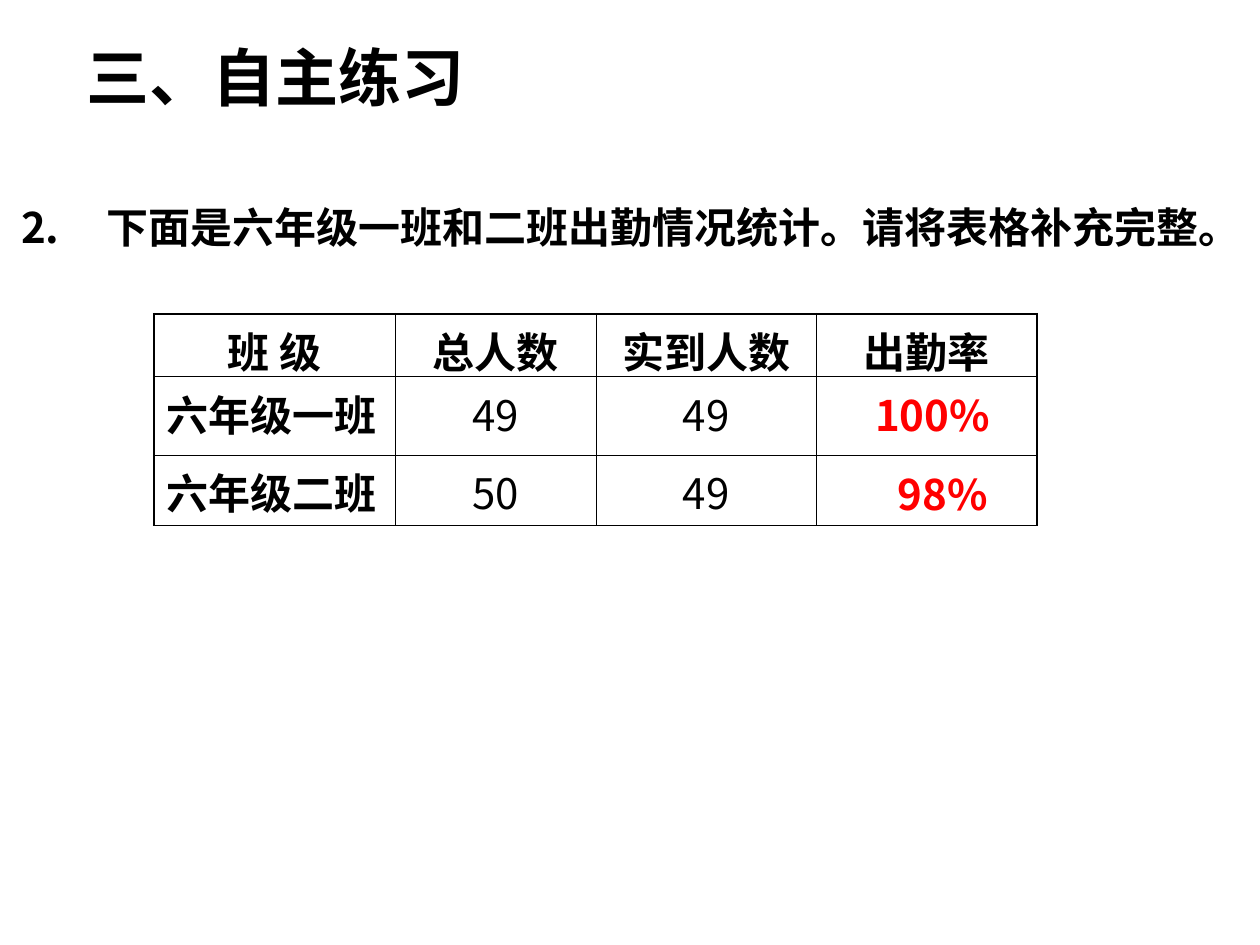
from lxml import etree
from pptx import Presentation
from pptx import util as u
from pptx.dml import color
from pptx.enum import text
from pptx.oxml import ns

COLORS = {"ink": "000000", "answer": "FF0000"}
FONT = "Noto Sans CJK SC"
COLUMNS = [1.92, 1.59, 1.75, 1.75]
ROWS = [0.5, 0.62, 0.56]
ATTENDANCE = [
    ["班 级", "总人数", "实到人数", "出勤率"],
    ["六年级一班", "49", "49", ""],
    ["六年级二班", "50", "49", ""],
]
THIN, THICK = 0.45, 1.08


def add_span(para, words, size=24, bold=True, ink="ink", font=FONT):
    """Add one styled run to a paragraph."""
    span = para.add_run()
    span.text = words
    span.font.size = u.Pt(size)
    span.font.bold = bold
    span.font.name = font
    span.font.color.rgb = color.RGBColor.from_string(COLORS[ink])
    east = etree.SubElement(span.font._element, ns.qn("a:ea"))
    east.set("typeface", FONT)


def add_text(page, words, left, top, width, height, align=text.PP_ALIGN.LEFT,
             spacing=None, indent=0, anchor=text.MSO_ANCHOR.TOP, **style):
    """Add a text box that holds one paragraph."""
    box = page.shapes.add_textbox(*map(u.Inches, (left, top, width, height)))
    frame = box.text_frame
    frame.word_wrap = True
    frame.vertical_anchor = anchor
    para = frame.paragraphs[0]
    para.alignment = align
    if spacing:
        para.line_spacing = spacing
    if indent:
        para._p.get_or_add_pPr().set("marL", str(u.Inches(indent)))
    add_span(para, words, **style)


def set_borders(cell, widths):
    """Draw the left, right, top and bottom borders of a cell."""
    properties = cell._tc.get_or_add_tcPr()
    for place, (side, width) in enumerate(widths.items()):
        line = etree.Element(ns.qn(f"a:{side}"), w=str(u.Pt(width)))
        fill = etree.SubElement(line, ns.qn("a:solidFill"))
        etree.SubElement(fill, ns.qn("a:srgbClr"), val=COLORS["ink"])
        properties.insert(place, line)


def add_attendance_table(page, left, top):
    """Add the attendance table with a thick frame and thin inner lines."""
    frame = page.shapes.add_table(
        len(ROWS), len(COLUMNS), u.Inches(left), u.Inches(top),
        u.Inches(sum(COLUMNS)), u.Inches(sum(ROWS)))
    table = frame.table
    for column, width in zip(table.columns, COLUMNS):
        column.width = u.Inches(width)
    for row, height in zip(table.rows, ROWS):
        row.height = u.Inches(height)
    last_row, last_column = len(ROWS) - 1, len(COLUMNS) - 1
    for r, line in enumerate(ATTENDANCE):
        for c, words in enumerate(line):
            cell = table.cell(r, c)
            cell.fill.background()
            set_borders(cell, {
                "lnL": THICK if c == 0 else THIN,
                "lnR": THICK if c == last_column else THIN,
                "lnT": THICK if r == 0 else THIN,
                "lnB": THICK if r == last_row else THIN,
            })
            if words:
                heading = r == 0 or c == 0
                para = cell.text_frame.paragraphs[0]
                centred = r == 0 or c > 0
                para.alignment = text.PP_ALIGN.CENTER if centred else text.PP_ALIGN.LEFT
                add_span(para, words, bold=heading)


def main():
    """Build the attendance exercise slide."""
    deck = Presentation()
    deck.slide_width, deck.slide_height = u.Inches(10), u.Inches(7.5)
    page = deck.slides.add_slide(deck.slide_layouts[6])
    add_text(page, "三、自主练习", 0.59, 0.31, 3.54, 0.59,
             anchor=text.MSO_ANCHOR.MIDDLE, size=36)
    add_text(page, "2.", -0.22, 1.47, 1.5, 0.58, spacing=1.2, indent=0.29)
    add_attendance_table(page, 1.22, 2.49)
    for words, left, top in [("100%", 6.81, 3.04), ("98%", 6.89, 3.67)]:
        add_text(page, words, left, top, 1.18, 0.5,
                 align=text.PP_ALIGN.CENTER, ink="answer")
    add_text(page, "下面是六年级一班和二班出勤情况统计。请将表格补充完整。",
             0.75, 1.47, 9.51, 0.58, spacing=1.2, font="Arial")
    deck.save("out.pptx")


if __name__ == "__main__":
    main()
